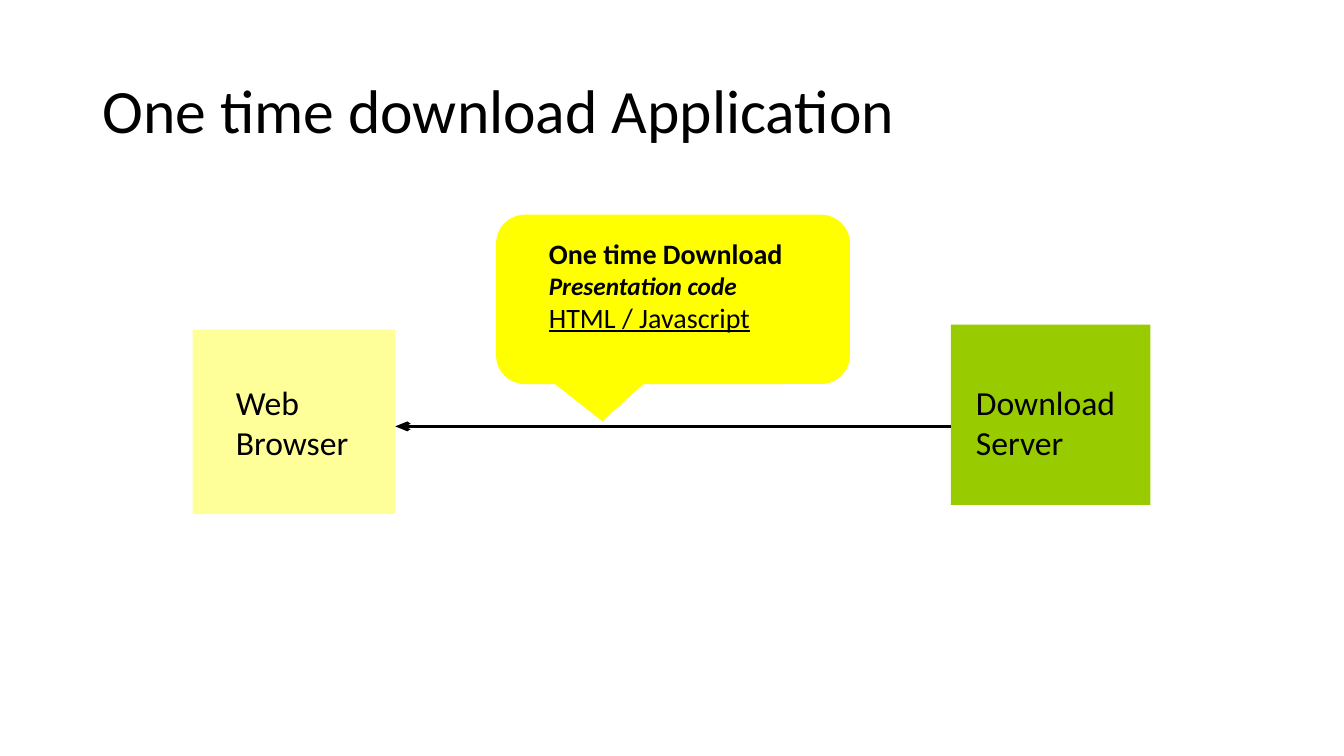
from lxml import etree
from pptx import Presentation
from pptx.dml.color import RGBColor
from pptx.enum.shapes import MSO_CONNECTOR, MSO_SHAPE
from pptx.enum.text import MSO_ANCHOR, PP_ALIGN
from pptx.oxml.ns import qn
from pptx.util import Inches, Pt

BLACK = RGBColor(0x00, 0x00, 0x00)
YELLOW = RGBColor(0xFF, 0xFF, 0x00)
PALE_YELLOW = RGBColor(0xFF, 0xFF, 0x99)
GREEN = RGBColor(0x99, 0xCC, 0x00)


def add_span(para, text, size):
    para.alignment = PP_ALIGN.LEFT
    span = para.add_run()
    span.text = text
    span.font.name = "Calibri"
    span.font.size = Pt(size)
    span.font.color.rgb = BLACK
    return span


def add_box(preset, place, color, insets, anchor):
    box = page.shapes.add_shape(preset, *map(Inches, place))
    box.shadow.inherit = False
    box.fill.solid()
    box.fill.fore_color.rgb = color
    box.line.fill.background()
    frame = box.text_frame
    frame.word_wrap = True
    frame.vertical_anchor = anchor
    frame.margin_left, frame.margin_top, frame.margin_right, frame.margin_bottom = map(Inches, insets)
    return box


deck = Presentation()
deck.slide_width = Inches(13.33)
deck.slide_height = Inches(7.5)
page = deck.slides.add_slide(deck.slide_layouts[6])

# Title
title = page.shapes.add_textbox(Inches(0.92), Inches(0.4), Inches(11.5), Inches(1.45))
title.text_frame.word_wrap = True
title.text_frame.vertical_anchor = MSO_ANCHOR.MIDDLE
title_para = title.text_frame.paragraphs[0]
title_para.line_spacing = 0.9
add_span(title_para, "One time download Application", 44)

# Callout above the arrow
callout = add_box(MSO_SHAPE.ROUNDED_RECTANGULAR_CALLOUT, (4.92, 2.13, 3.51, 1.68), YELLOW,
                  (0.44, 0.13, 0.3, 0.05), MSO_ANCHOR.TOP)
callout.adjustments[0] = -0.2
callout.adjustments[1] = 0.72
callout.adjustments[2] = 0.17
callout_lines = [
    ("One time Download", 20, True, False, False),
    ("Presentation code", 18, True, True, False),
    ("HTML / Javascript", 20, False, False, True),
]
for index, (text, size, bold, italic, underline) in enumerate(callout_lines):
    frame = callout.text_frame
    para = frame.add_paragraph() if index else frame.paragraphs[0]
    span = add_span(para, text, size)
    span.font.bold = bold
    span.font.italic = italic
    span.font.underline = underline

# Browser and server
nodes = [
    ("Web Browser", (1.91, 3.27, 2.01, 1.83), PALE_YELLOW, (0.43, 0, 0.25, 0)),
    ("Download Server", (9.43, 3.22, 1.98, 1.79), GREEN, (0.25, 0.14, 0.31, 0)),
]
for text, place, color, insets in nodes:
    node = add_box(MSO_SHAPE.RECTANGLE, place, color, insets, MSO_ANCHOR.MIDDLE)
    add_span(node.text_frame.paragraphs[0], text, 24)

# Arrow from server to browser
arrow = page.shapes.add_connector(MSO_CONNECTOR.STRAIGHT, Inches(9.43), Inches(4.23),
                                  Inches(3.92), Inches(4.23))
arrow.line.color.rgb = BLACK
arrow.line.width = Pt(2)
etree.SubElement(arrow.line._get_or_add_ln(), qn("a:tailEnd"), type="arrow", w="med", len="lg")
etree.SubElement(arrow._element.spPr, qn("a:effectLst"))

deck.save("out.pptx")
